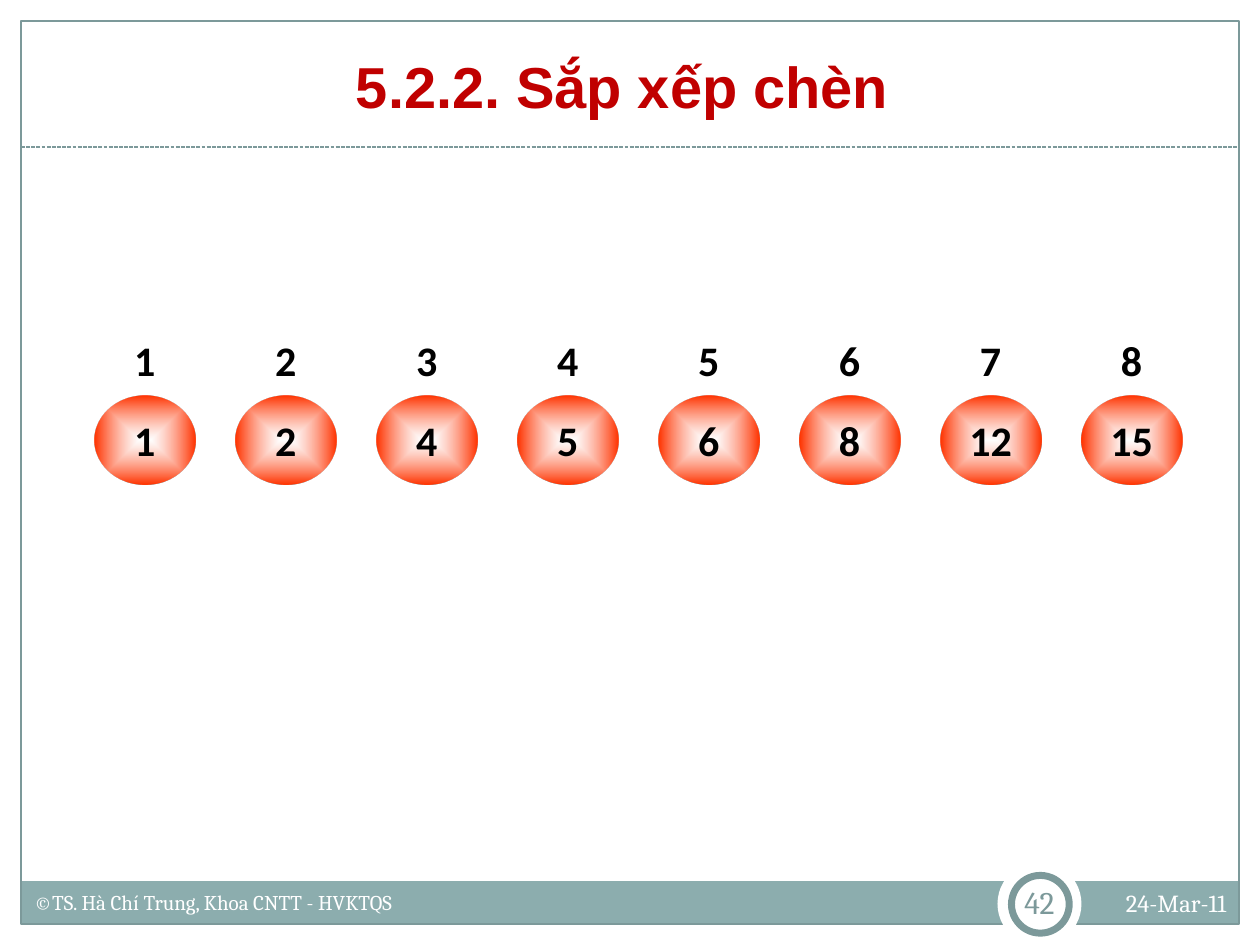
from dataclasses import dataclass
from typing import Optional

from pptx import Presentation
from pptx.dml.color import RGBColor
from pptx.enum.dml import MSO_LINE
from pptx.enum.shapes import MSO_CONNECTOR, MSO_SHAPE
from pptx.enum.text import MSO_ANCHOR, MSO_AUTO_SIZE, PP_ALIGN
from pptx.oxml import parse_xml
from pptx.oxml.ns import nsdecls, qn
from pptx.util import Pt

WHITE = RGBColor(0xFF, 0xFF, 0xFF)
BLACK = RGBColor(0, 0, 0)
TEAL = RGBColor(0x7C, 0x99, 0x9A)
LIGHT_TEAL = RGBColor(0x8C, 0xAD, 0xAE)
DARK_RED = RGBColor(0xC0, 0, 0)
ORANGE_RED = RGBColor(0xFF, 0x33, 0)

SORTED_VALUES = [1, 2, 4, 5, 6, 8, 12, 15]
FIRST_LEFT, PITCH = 54, 80.55
BALL_WIDTH, BALL_HEIGHT = 57.6, 51
INDEX_TOP, BALL_TOP = 180, 226


@dataclass(frozen=True)
class Box:
    left: float
    top: float
    width: float
    height: float

    def lengths(self):
        return Pt(self.left), Pt(self.top), Pt(self.width), Pt(self.height)


@dataclass(frozen=True)
class TextStyle:
    font: str
    size: float
    color: RGBColor
    bold: bool = False
    align: PP_ALIGN = PP_ALIGN.CENTER
    anchor: MSO_ANCHOR = MSO_ANCHOR.MIDDLE


@dataclass(frozen=True)
class Panel:
    kind: MSO_SHAPE
    box: Box
    fill: Optional[RGBColor] = None
    line: Optional[RGBColor] = None
    line_width: float = 0.75


NUMBER_STYLE = TextStyle("Calibri", 24, BLACK, bold=True)
TITLE_STYLE = TextStyle("Arial", 33, DARK_RED, bold=True, anchor=MSO_ANCHOR.BOTTOM)

FRAME = Panel(MSO_SHAPE.RECTANGLE, Box(12, 12, 696, 516), line=TEAL)
FOOTER_BAR = Panel(MSO_SHAPE.RECTANGLE, Box(12, 503.5, 696, 24.5), fill=LIGHT_TEAL)
BADGE = Panel(MSO_SHAPE.OVAL, Box(570, 492.5, 48, 48), fill=WHITE)
BADGE_RING = Panel(MSO_SHAPE.OVAL, Box(578, 500.25, 33, 33), WHITE, TEAL, 4)

FOOTER_TEXTS = [
    ("24-Mar-11", Box(606, 504, 102, 24),
     TextStyle("Cambria", 14, WHITE, align=PP_ALIGN.RIGHT, anchor=MSO_ANCHOR.TOP)),
    ("©TS. Hà Chí Trung, Khoa CNTT - HVKTQS", Box(12.5, 505, 432, 22),
     TextStyle("Cambria", 12, WHITE, align=PP_ALIGN.LEFT, anchor=MSO_ANCHOR.TOP)),
    ("42", Box(576, 498, 36, 35), TextStyle("Cambria", 18, TEAL)),
]


def write_text(shape, text: str, style: TextStyle, margins: Optional[dict] = None) -> None:
    frame = shape.text_frame
    frame_format = {"word_wrap": True, "auto_size": MSO_AUTO_SIZE.NONE,
                    "vertical_anchor": style.anchor, **(margins or {})}
    for name, value in frame_format.items():
        setattr(frame, name, value)
    paragraph = frame.paragraphs[0]
    paragraph.alignment = style.align
    run = paragraph.add_run()
    run.text = text
    font_format = {"name": style.font, "size": Pt(style.size), "bold": style.bold}
    for name, value in font_format.items():
        setattr(run.font, name, value)
    run.font.color.rgb = style.color


def draw_panel(slide, panel: Panel):
    shape = slide.shapes.add_shape(panel.kind, *panel.box.lengths())
    shape.shadow.inherit = False
    if panel.fill is None:
        shape.fill.background()
    else:
        shape.fill.solid()
        shape.fill.fore_color.rgb = panel.fill
    if panel.line is None:
        shape.line.fill.background()
    else:
        shape.line.color.rgb = panel.line
        shape.line.width = Pt(panel.line_width)
    return shape


def fill_radially(shape, center: RGBColor, edge: RGBColor) -> None:
    """Replace the empty fill with a gradient, translucent in the middle."""
    properties = shape._element.spPr
    gradient = parse_xml(
        f'<a:gradFill {nsdecls("a")} rotWithShape="1"><a:gsLst>'
        f'<a:gs pos="0"><a:srgbClr val="{center}"><a:alpha val="60000"/></a:srgbClr></a:gs>'
        f'<a:gs pos="100000"><a:srgbClr val="{edge}"/></a:gs></a:gsLst>'
        '<a:path path="shape"><a:fillToRect l="50000" t="50000" r="50000" b="50000"/>'
        '</a:path></a:gradFill>')
    properties.replace(properties.find(qn("a:noFill")), gradient)


def draw_number(slide, column: int, top: float, number: int):
    box = Box(FIRST_LEFT + column * PITCH, top, BALL_WIDTH, BALL_HEIGHT)
    shape = draw_panel(slide, Panel(MSO_SHAPE.OVAL, box))
    sides = ("left", "right", "top", "bottom")
    write_text(shape, str(number), NUMBER_STYLE, {f"margin_{side}": 0 for side in sides})
    return shape


def draw_divider(slide, y: float) -> None:
    left, right = FRAME.box.left, FRAME.box.left + FRAME.box.width
    line = slide.shapes.add_connector(MSO_CONNECTOR.STRAIGHT, Pt(left), Pt(y), Pt(right), Pt(y))
    line.line.color.rgb = TEAL
    line.line.width = Pt(0.75)
    line.line.dash_style = MSO_LINE.SQUARE_DOT
    line._element.spPr.append(parse_xml(f'<a:effectLst {nsdecls("a")}/>'))


def main() -> None:
    presentation = Presentation()
    presentation.slide_width, presentation.slide_height = Pt(720), Pt(540)
    slide = presentation.slides.add_slide(presentation.slide_layouts[5])

    # Frame, footer bar and page-number badge
    for panel in (FOOTER_BAR, FRAME, BADGE, BADGE_RING):
        draw_panel(slide, panel)
    draw_divider(slide, 84)

    # Sorted values with their positions above
    for column, value in enumerate(SORTED_VALUES):
        ball = draw_number(slide, column, BALL_TOP, value)
        fill_radially(ball, WHITE, ORANGE_RED)
        draw_number(slide, column, INDEX_TOP, column + 1)

    # Title
    title = slide.shapes.title
    title.left, title.top, title.width, title.height = Box(24, 18, 672, 54).lengths()
    write_text(title, "5.2.2. Sắp xếp chèn", TITLE_STYLE, {"margin_right": Pt(16)})

    # Footer texts
    for text, box, style in FOOTER_TEXTS:
        write_text(slide.shapes.add_textbox(*box.lengths()), text, style)

    presentation.save("out.pptx")


if __name__ == "__main__":
    main()
